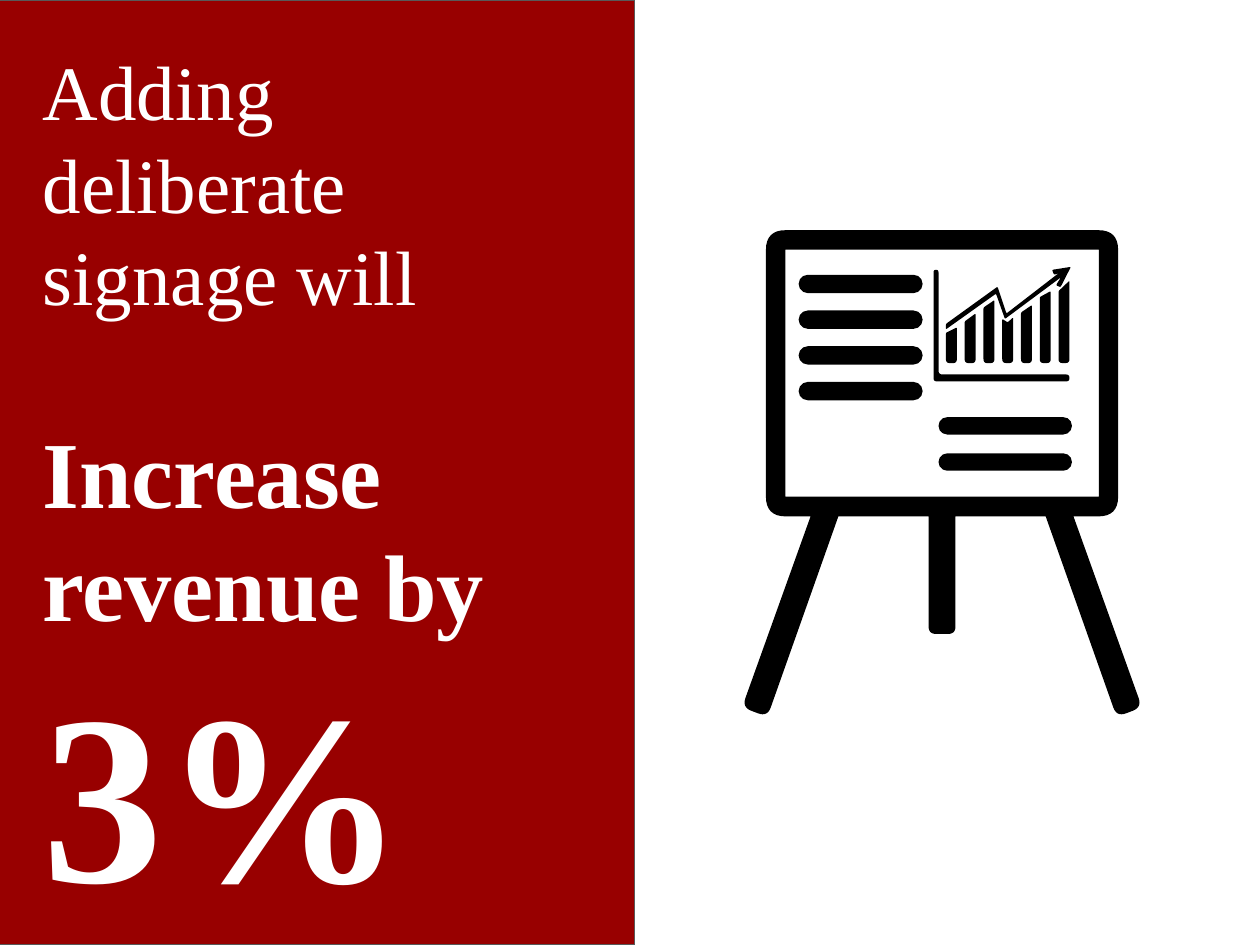
from typing import NamedTuple

from pptx import Presentation
from pptx.dml.color import RGBColor
from pptx.enum import shapes, text
from pptx.util import Cm, Pt

RED = RGBColor(0x98, 0x00, 0x00)
GREY = RGBColor(0x59, 0x59, 0x59)
WHITE = RGBColor(0xFF, 0xFF, 0xFF)
BLACK = RGBColor(0x00, 0x00, 0x00)
FONT = "Times New Roman"
CURVE_STEPS = 8


class Message(NamedTuple):
    words: str
    size: float
    bold: bool
    space_before: float


class Corner(NamedTuple):
    x: float
    y: float
    radius: float = 0


class TextBars(NamedTuple):
    left: float
    top: float
    width: float
    height: float
    step: float
    count: int


MESSAGES = [
    Message("Adding deliberate signage will", 44, False, 0),
    Message("Increase revenue by", 54, True, 53),
    Message("3%", 138, True, 0),
]

TEXT_BARS = [
    TextBars(16.1, 5.54, 2.5, 0.37, 0.72, 4),
    TextBars(18.92, 8.41, 2.69, 0.35, 0.73, 2),
]

EASEL_CENTRE = 18.99
# Right half of the easel, with x measured from its centre line.
EASEL_HALF = [
    Corner(3.55, 4.64, 0.4), Corner(3.55, 10.41, 0.4), Corner(2.65, 10.41),
    Corner(4.03, 14.26, 0.2), Corner(3.52, 14.45, 0.2), Corner(2.09, 10.41),
    Corner(0.27, 10.41), Corner(0.27, 12.78, 0.15),
]
BOARD_HALF = [Corner(3.16, 5.03), Corner(3.16, 10.01)]

AXES = [
    Corner(18.82, 5.44, 0.05), Corner(18.92, 5.44, 0.05), Corner(18.92, 7.55, 0.08),
    Corner(21.56, 7.55, 0.07), Corner(21.56, 7.69, 0.07), Corner(18.82, 7.69, 0.07),
]
TREND_ARROW = [
    Corner(x, y, 0.03) for x, y in [
        (19.07, 6.64), (20.08, 5.92), (20.26, 6.43), (21.39, 5.59), (21.29, 5.75),
        (21.38, 5.79), (21.59, 5.38), (21.21, 5.44), (21.25, 5.54), (21.34, 5.51),
        (20.29, 6.32), (20.11, 5.78), (19.07, 6.53),
    ]
]

COLUMN_LEFT, COLUMN_RIGHT, COLUMN_WIDTH, COLUMN_BOTTOM = 19.07, 21.56, 0.22, 7.32
# Heights along the top of each column, from left to right.
COLUMN_TOPS = [
    (6.71, 6.6), (6.48, 6.32), (6.2, 6.05), (6.43, 6.5, 6.4),
    (6.3, 6.15), (5.99, 5.87), (5.87, 5.66),
]
COLUMN_STEP = (COLUMN_RIGHT - COLUMN_WIDTH - COLUMN_LEFT) / (len(COLUMN_TOPS) - 1)


def mirrored(half: list[Corner]) -> list[Corner]:
    """Complete a half outline by reflecting it in the easel's centre line."""
    right = [corner._replace(x=EASEL_CENTRE + corner.x) for corner in half]
    left = [corner._replace(x=EASEL_CENTRE - corner.x) for corner in reversed(half)]
    return right + left


def toward(start: Corner, end: Corner, distance: float) -> tuple[float, float]:
    """Return the point at a distance from start on the way to end."""
    length = ((end.x - start.x) ** 2 + (end.y - start.y) ** 2) ** 0.5
    share = min(distance / length, 0.5)
    return start.x + (end.x - start.x) * share, start.y + (end.y - start.y) * share


def rounded(corners: list[Corner]) -> list[tuple[int, int]]:
    """Return outline points with each corner eased by a quadratic curve."""
    points = []
    for index, corner in enumerate(corners):
        if not corner.radius:
            points.append((Cm(corner.x), Cm(corner.y)))
            continue
        entry = toward(corner, corners[index - 1], corner.radius)
        leave = toward(corner, corners[(index + 1) % len(corners)], corner.radius)
        for step in range(CURVE_STEPS + 1):
            t = step / CURVE_STEPS
            x, y = ((1 - t) ** 2 * a + 2 * t * (1 - t) * b + t ** 2 * c
                    for a, b, c in zip(entry, corner[:2], leave))
            points.append((Cm(x), Cm(y)))
    return points


def paint_black(shape) -> None:
    shape.shadow.inherit = False
    shape.fill.solid()
    shape.fill.fore_color.rgb = BLACK
    shape.line.fill.background()


def add_outline(group, *contours: list[Corner]) -> None:
    """Draw one black shape; contours after the first cut holes."""
    first, *holes = [rounded(contour) for contour in contours]
    builder = group.shapes.build_freeform(*first[0])
    builder.add_line_segments(first[1:])
    for hole in holes:
        builder.move_to(*hole[0])
        builder.add_line_segments(hole[1:])
    paint_black(builder.convert_to_shape())


def add_text_bars(group, bars: TextBars) -> None:
    for index in range(bars.count):
        shape = group.shapes.add_shape(
            shapes.MSO_SHAPE.ROUNDED_RECTANGLE, Cm(bars.left),
            Cm(bars.top + index * bars.step), Cm(bars.width), Cm(bars.height))
        shape.adjustments[0] = 0.5
        paint_black(shape)


def add_column(group, index: int, tops: tuple[float, ...]) -> None:
    left = COLUMN_LEFT + index * COLUMN_STEP
    gap = COLUMN_WIDTH / (len(tops) - 1)
    corners = [Corner(left + i * gap, top, 0.03) for i, top in enumerate(tops)]
    corners += [Corner(left + COLUMN_WIDTH, COLUMN_BOTTOM, 0.08),
                Corner(left, COLUMN_BOTTOM, 0.08)]
    add_outline(group, corners)


def add_easel(slide) -> None:
    group = slide.shapes.add_group_shape()
    add_outline(group, mirrored(EASEL_HALF), mirrored(BOARD_HALF))
    for bars in TEXT_BARS:
        add_text_bars(group, bars)
    add_outline(group, AXES)
    for index, tops in enumerate(COLUMN_TOPS):
        add_column(group, index, tops)
    add_outline(group, TREND_ARROW)


def add_panel(slide) -> None:
    panel = slide.shapes.add_shape(
        shapes.MSO_SHAPE.RECTANGLE, Cm(-0.23), 0, Cm(13.02), Cm(19.05))
    panel.shadow.inherit = False
    panel.fill.solid()
    panel.fill.fore_color.rgb = RED
    panel.line.color.rgb = GREY
    panel.line.width = Pt(0.75)


def add_messages(slide) -> None:
    box = slide.shapes.add_textbox(Cm(0.61), Cm(0.76), Cm(11.33), Cm(18.29))
    frame = box.text_frame
    frame.word_wrap = True
    frame.vertical_anchor = text.MSO_ANCHOR.TOP
    frame.text = "\n".join(message.words for message in MESSAGES)
    for paragraph, message in zip(frame.paragraphs, MESSAGES):
        paragraph.space_before = Pt(message.space_before)
        font = paragraph.runs[0].font
        font.name = FONT
        font.size = Pt(message.size)
        font.bold = message.bold
        font.color.rgb = WHITE


def main() -> None:
    presentation = Presentation()
    presentation.slide_width, presentation.slide_height = Cm(25.4), Cm(19.05)
    slide = presentation.slides.add_slide(presentation.slide_layouts[6])
    add_panel(slide)
    add_messages(slide)
    add_easel(slide)
    presentation.save("out.pptx")


if __name__ == "__main__":
    main()
